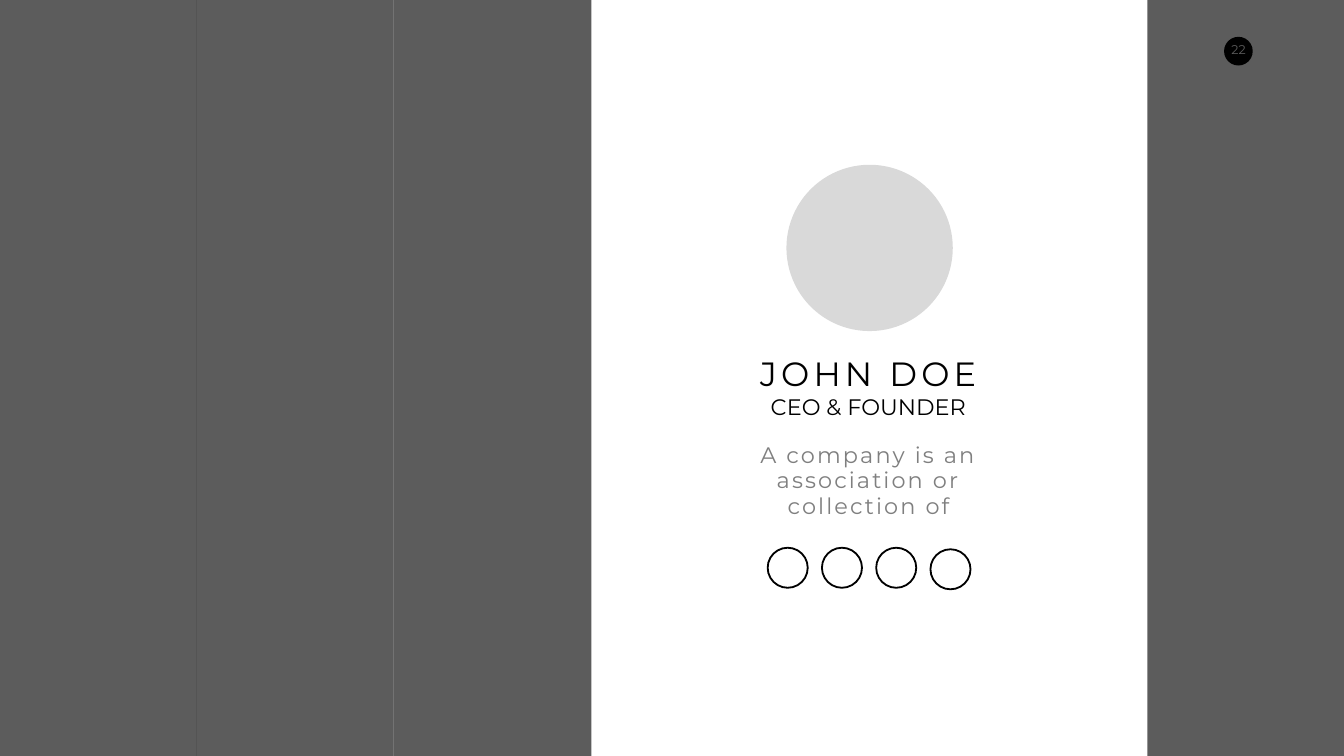
import pptx
import pptx.dml.color
import pptx.enum.shapes
import pptx.enum.text
import pptx.oxml
import pptx.util
from pptx.util import Pt

BLACK = pptx.dml.color.RGBColor(0x00, 0x00, 0x00)
WHITE = pptx.dml.color.RGBColor(0xFF, 0xFF, 0xFF)
GREY = pptx.dml.color.RGBColor(0x7F, 0x7F, 0x7F)
LIGHT_GREY = pptx.dml.color.RGBColor(0xD9, 0xD9, 0xD9)

SLIDE_WIDTH, SLIDE_HEIGHT = 1919.52, 1080
PANEL_WIDTH = 282.24
RING_SIZE, RING_LINE = 59.8, 2.6
RING_LEFT, RING_STEP = 1095.1, 77.5


def add_plain_shape(page, kind, left, top, width, height, fill):
    """Add a preset shape with a flat fill and no outline."""
    shape = page.shapes.add_shape(kind, Pt(left), Pt(top), Pt(width), Pt(height))
    shape.shadow.inherit = False
    shape.fill.solid()
    shape.fill.fore_color.rgb = fill
    shape.line.fill.background()
    return shape


def add_circle(page, left, top, size, fill):
    """Add a filled circle."""
    return add_plain_shape(page, pptx.enum.shapes.MSO_SHAPE.OVAL, left, top, size, size, fill)


def add_panel(page, left):
    """Add a full-height black panel at 64 percent opacity."""
    panel = add_plain_shape(page, pptx.enum.shapes.MSO_SHAPE.RECTANGLE,
                            left, 0, PANEL_WIDTH, SLIDE_HEIGHT, BLACK)
    color = panel.fill._xPr.find(".//" + pptx.oxml.ns.qn("a:srgbClr"))
    alpha = color.makeelement(pptx.oxml.ns.qn("a:alpha"), {"val": "64000"})
    color.append(alpha)


def add_ring(page, left, top):
    """Add an outlined circle that stands for a social link."""
    inset = RING_LINE / 2
    ring = add_circle(page, left + inset, top + inset, RING_SIZE - RING_LINE, WHITE)
    ring.fill.background()
    ring.line.color.rgb = BLACK
    ring.line.width = Pt(RING_LINE)


def add_text(page, left, top, width, height, lines, inset, wrap=False, leading=None):
    """Add centred lines, each given as text, size, colour and letter spacing."""
    box = page.shapes.add_textbox(Pt(left), Pt(top), Pt(width), Pt(height))
    frame = box.text_frame
    frame.word_wrap = wrap
    frame.margin_left = frame.margin_right = Pt(inset[0])
    frame.margin_top = frame.margin_bottom = Pt(inset[1])
    for index, (text, size, color, spacing) in enumerate(lines):
        para = frame.paragraphs[0] if index == 0 else frame.add_paragraph()
        para.text = text
        para.alignment = pptx.enum.text.PP_ALIGN.CENTER
        if leading:
            para.line_spacing = Pt(leading)
        para.font.name = "Montserrat"
        para.font.size = Pt(size)
        para.font.color.rgb = color
        para.font._element.set("spc", str(spacing * 100))


def main():
    """Build the team member slide and save it."""
    deck = pptx.Presentation()
    deck.slide_width, deck.slide_height = Pt(SLIDE_WIDTH), Pt(SLIDE_HEIGHT)
    page = deck.slides.add_slide(deck.slide_layouts[6])

    add_circle(page, 1748.2, 52.6, 41, BLACK)
    add_text(page, 1738, 52.6, 62, 36.7, [("22", 18, WHITE, 0)], inset=(14.4, 7.2))

    for column in (2, 1, 0):
        add_panel(page, column * PANEL_WIDTH - 2.16)
    add_panel(page, 1638.72)

    add_text(page, 1015.2, 629.3, 450.7, 115.9,
             [("A company is an association or collection of", 32, GREY, 3)],
             inset=(14.4, 3.6), wrap=True, leading=36)
    add_text(page, 1077.8, 501.1, 324.7, 104.4,
             [("JOHN DOE", 48, BLACK, 6), ("CEO & FOUNDER", 32, BLACK, 0)],
             inset=(3.6, 3.6))

    for position, top in enumerate((781.2, 781.2, 781.2, 783.4)):
        add_ring(page, RING_LEFT + position * RING_STEP, top)
    add_circle(page, 1123.2, 235.4, 237.6, LIGHT_GREY)

    deck.save("out.pptx")


if __name__ == "__main__":
    main()
